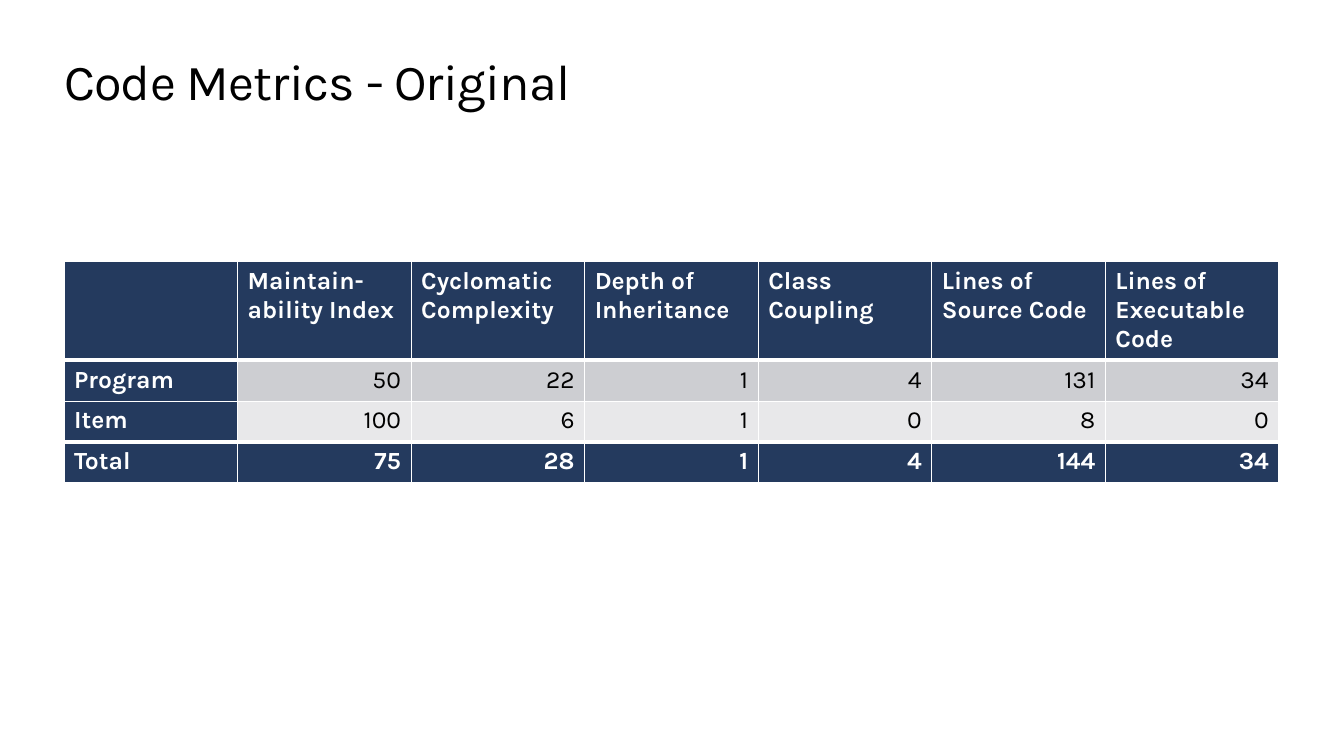
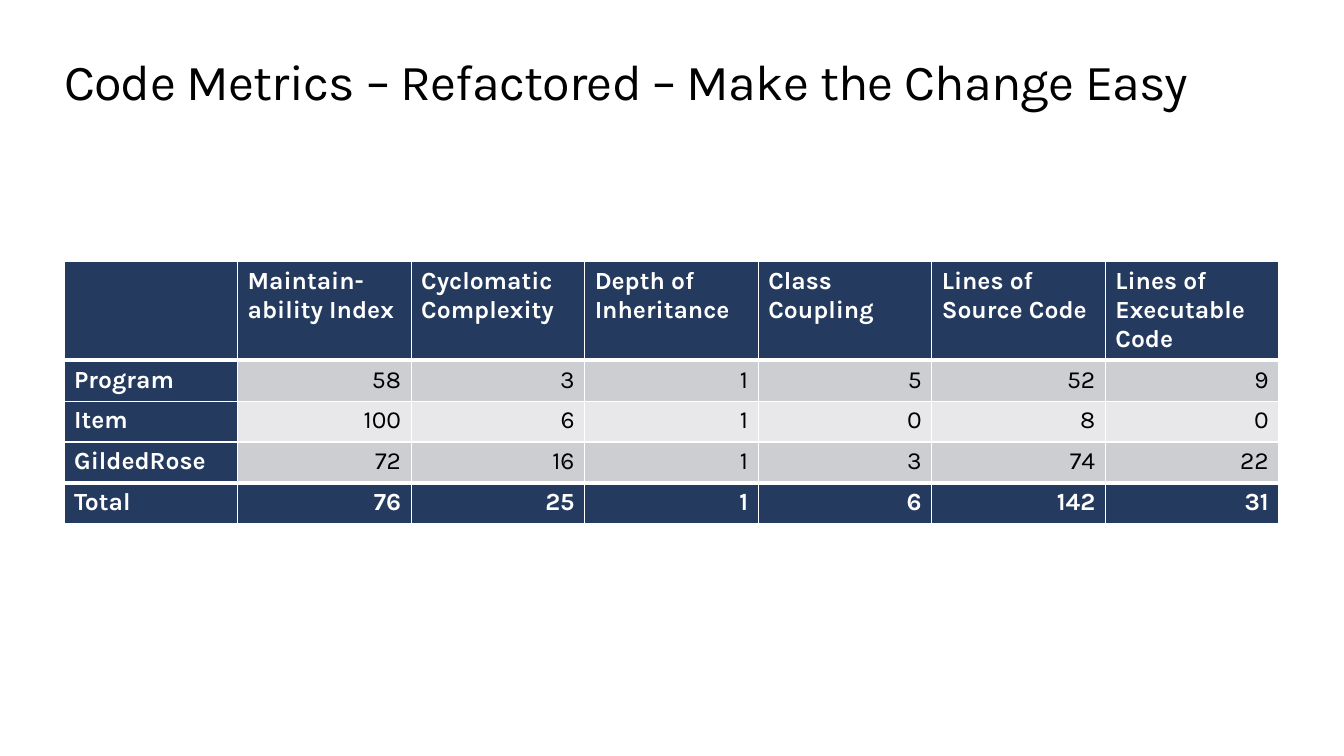
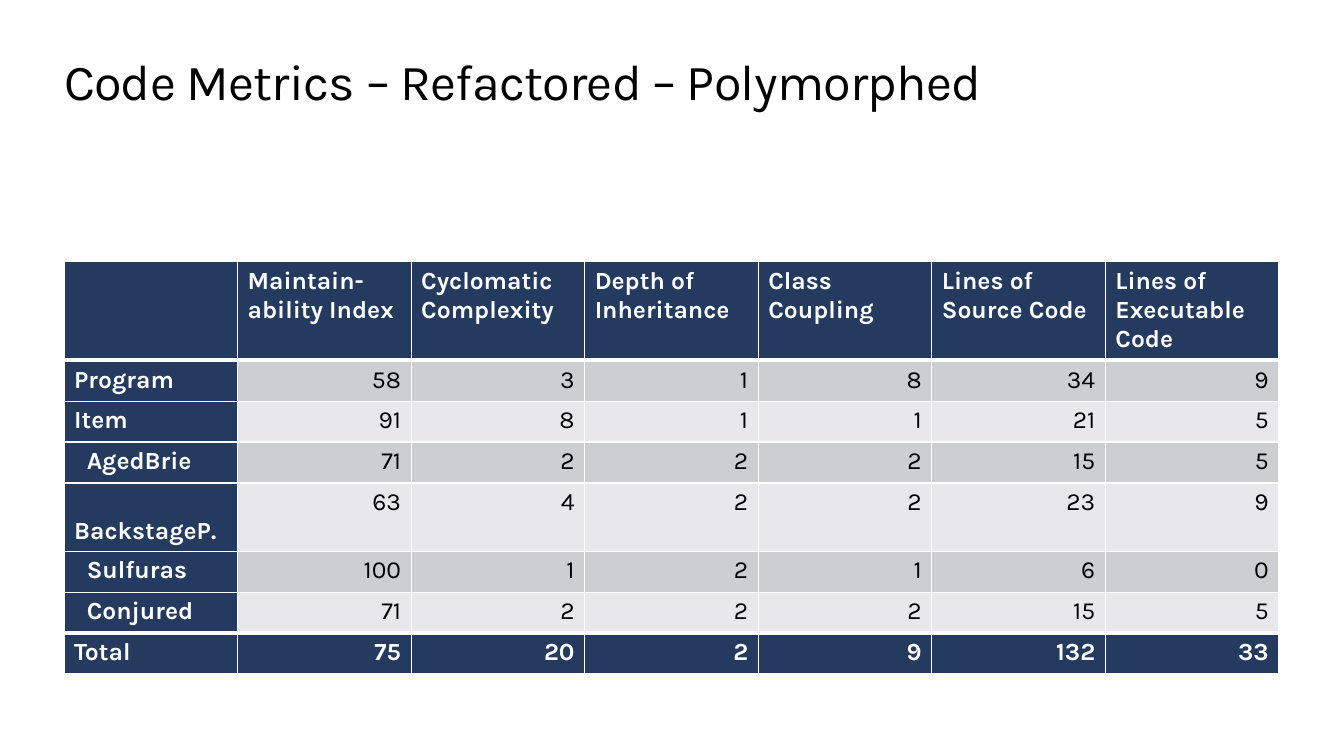
from dataclasses import dataclass

from lxml.etree import SubElement
from pptx import Presentation
from pptx.dml.color import RGBColor
from pptx.enum.text import MSO_ANCHOR, PP_ALIGN
from pptx.oxml.ns import qn
from pptx.util import Emu, Pt

EMU_PER_PX = 9525


@dataclass(frozen=True)
class Theme:
    font: str = "Karla"
    title_size: float = 36
    table_size: float = 17.6
    title_spacing: float = -0.5
    ink: str = "000000"
    paper: str = "FFFFFF"
    navy: str = "243A5E"
    bands: tuple = ("CDCED2", "E8E8EA")
    thin_rule: float = 1
    thick_rule: float = 3


def px(length):
    return Emu(length * EMU_PER_PX)


def write_text(frame, text, *, font, size, color, bold=False,
               align=PP_ALIGN.LEFT, indent=0, spacing=0):
    """Write one paragraph; indent is in px and letter spacing in points."""
    para = frame.paragraphs[0]
    para.alignment = align
    if indent:
        properties = para._p.get_or_add_pPr()
        properties.set("marL", str(px(indent)))
        properties.set("indent", "0")
    span = para.add_run()
    span.text = text
    span.font.name = font
    span.font.size = Pt(size)
    span.font.bold = bold
    span.font.color.rgb = RGBColor.from_string(color)
    if spacing:
        span.font._element.set("spc", str(round(spacing * 100)))


def set_borders(cell, color, **widths):
    """Draw the cell's edges, given as left, right, top and bottom in points."""
    properties = cell._tc.get_or_add_tcPr()
    for side in ("left", "right", "top", "bottom"):
        line = SubElement(properties, qn(f"a:ln{side[0].upper()}"), w=str(Pt(widths[side])))
        fill = SubElement(line, qn("a:solidFill"))
        SubElement(fill, qn("a:srgbClr"), val=color)


class MetricsDeck:
    """Holds the theme, the presentation and the current page."""

    LEFT, WIDTH = 61, 1157
    TITLE_TOP, TITLE_HEIGHT = 48, 59
    TABLE_TOP, HEADER_HEIGHT, ROW_HEIGHT, TALL_ROW_HEIGHT = 249, 91, 39, 65
    CHILD_INDENT = 12

    def __init__(self, theme):
        self.theme = theme
        self.deck = Presentation()
        self.deck.slide_width, self.deck.slide_height = px(1280), px(720)
        self.page = None

    def add_page(self, title):
        self.page = self.deck.slides.add_slide(self.deck.slide_layouts[6])
        background = self.page.background.fill
        background.solid()
        background.fore_color.rgb = RGBColor.from_string(self.theme.paper)
        self.add_title(title)

    def add_title(self, title):
        box = self.page.shapes.add_textbox(
            px(self.LEFT), px(self.TITLE_TOP), px(self.WIDTH), px(self.TITLE_HEIGHT))
        frame = box.text_frame
        frame.word_wrap = True
        frame.margin_left = frame.margin_right = 0
        frame.margin_top = frame.margin_bottom = 0
        write_text(frame, title, font=self.theme.font, size=self.theme.title_size,
                   color=self.theme.ink, spacing=self.theme.title_spacing)

    def add_table(self, headings, rows, children=(), tall=()):
        """Add a table with a header and total row; children are indented
        labels, tall ones sit at the foot of a two-line row."""
        records = [("", *headings), *rows]
        heights = [self.HEADER_HEIGHT] + [
            self.TALL_ROW_HEIGHT if row[0] in tall else self.ROW_HEIGHT for row in rows]
        table = self.page.shapes.add_table(
            len(records), len(records[0]), px(self.LEFT), px(self.TABLE_TOP),
            px(self.WIDTH), px(sum(heights))).table
        for column in table.columns:
            column.width = px(self.WIDTH) // len(records[0])
        last = len(records) - 1
        for row_index, (record, height) in enumerate(zip(records, heights)):
            table.rows[row_index].height = px(height)
            for column_index, value in enumerate(record):
                cell = table.cell(row_index, column_index)
                self.style_cell(cell, row_index, column_index, last)
                if value == "":
                    continue
                is_label = column_index == 0
                is_strong = is_label or row_index in (0, last)
                if is_label and value in tall:
                    cell.vertical_anchor = MSO_ANCHOR.BOTTOM
                write_text(
                    cell.text_frame, str(value), font=self.theme.font,
                    size=self.theme.table_size, bold=is_strong,
                    color=self.theme.paper if is_strong else self.theme.ink,
                    align=PP_ALIGN.LEFT if is_label or row_index == 0 else PP_ALIGN.RIGHT,
                    indent=self.CHILD_INDENT if is_label and value in children else 0)

    def style_cell(self, cell, row_index, column_index, last):
        theme = self.theme
        thick_above = row_index in (1, last)
        thick_below = row_index in (0, last - 1)
        set_borders(cell, theme.paper, left=theme.thin_rule, right=theme.thin_rule,
                    top=theme.thick_rule if thick_above else theme.thin_rule,
                    bottom=theme.thick_rule if thick_below else theme.thin_rule)
        is_navy = column_index == 0 or row_index in (0, last)
        color = theme.navy if is_navy else theme.bands[(row_index - 1) % 2]
        cell.fill.solid()
        cell.fill.fore_color.rgb = RGBColor.from_string(color)


HEADINGS = (
    "Maintain-ability Index", "Cyclomatic Complexity", "Depth of Inheritance",
    "Class Coupling", "Lines of Source Code", "Lines of Executable Code",
)

PAGES = (
    ("Code Metrics - Original", (
        ("Program", 50, 22, 1, 4, 131, 34),
        ("Item", 100, 6, 1, 0, 8, 0),
        ("Total", 75, 28, 1, 4, 144, 34),
    )),
    ("Code Metrics – Refactored – Make the Change Easy", (
        ("Program", 58, 3, 1, 5, 52, 9),
        ("Item", 100, 6, 1, 0, 8, 0),
        ("GildedRose", 72, 16, 1, 3, 74, 22),
        ("Total", 76, 25, 1, 6, 142, 31),
    )),
    ("Code Metrics – Refactored – Polymorphed", (
        ("Program", 58, 3, 1, 8, 34, 9),
        ("Item", 91, 8, 1, 1, 21, 5),
        ("AgedBrie", 71, 2, 2, 2, 15, 5),
        ("BackstageP.", 63, 4, 2, 2, 23, 9),
        ("Sulfuras", 100, 1, 2, 1, 6, 0),
        ("Conjured", 71, 2, 2, 2, 15, 5),
        ("Total", 75, 20, 2, 9, 132, 33),
    )),
)


def main():
    metrics = MetricsDeck(Theme())
    for title, rows in PAGES:
        metrics.add_page(title)
        metrics.add_table(HEADINGS, rows, children=("AgedBrie", "Sulfuras", "Conjured"),
                          tall=("BackstageP.",))
    metrics.deck.save("out.pptx")


if __name__ == "__main__":
    main()
